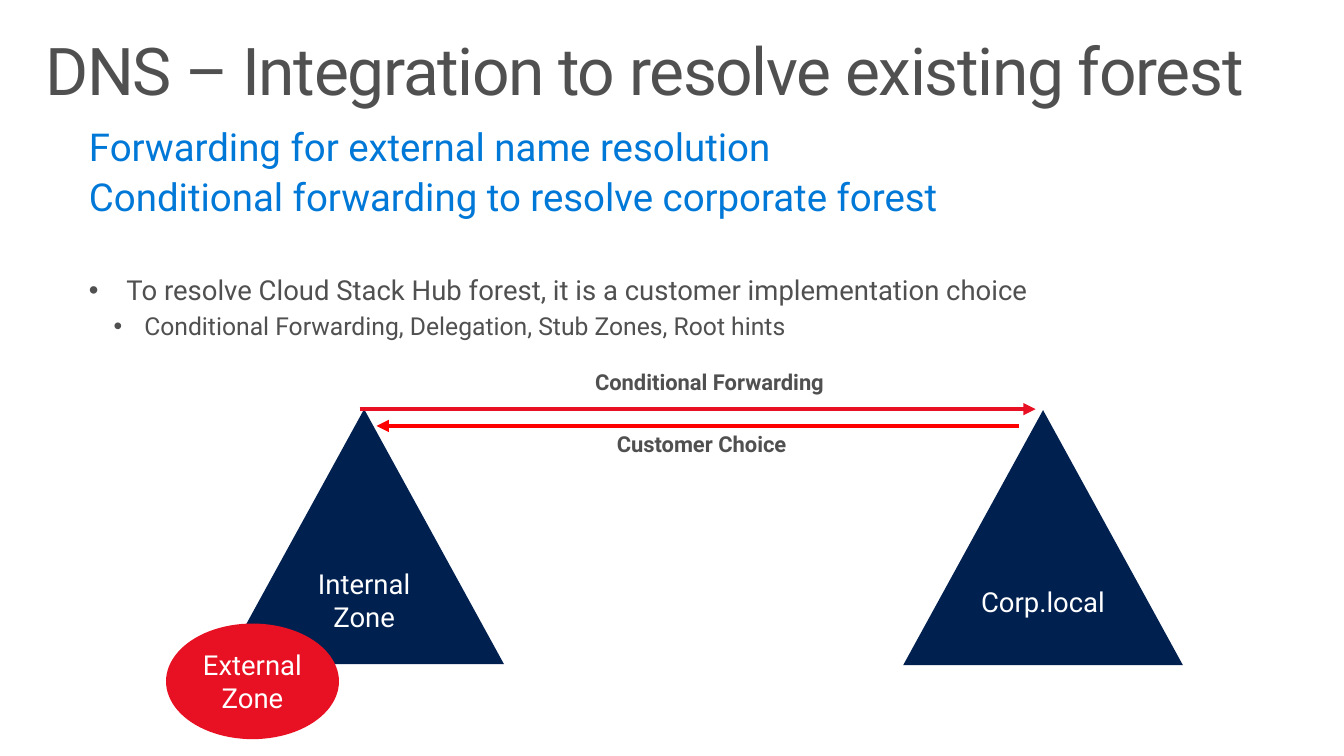
import pptx
import pptx.util
import pptx.dml.color
import pptx.enum.shapes
import pptx.enum.text
import pptx.oxml.ns
import lxml.etree

Inches = pptx.util.Inches
Pt = pptx.util.Pt
RGBColor = pptx.dml.color.RGBColor
SHAPES = pptx.enum.shapes.MSO_SHAPE
ALIGN = pptx.enum.text.PP_ALIGN
ANCHOR = pptx.enum.text.MSO_ANCHOR
AUTO_SIZE = pptx.enum.text.MSO_AUTO_SIZE

GREY = RGBColor(0x50, 0x50, 0x50)
BLUE = RGBColor(0x00, 0x78, 0xD7)
NAVY = RGBColor(0x00, 0x20, 0x50)
CRIMSON = RGBColor(0xE8, 0x11, 0x23)
RED = RGBColor(0xFF, 0x00, 0x00)
WHITE = RGBColor(0xFF, 0xFF, 0xFF)

TITLE = "DNS – Integration to resolve existing forest"
HEADING = {"size": 28, "color": BLUE}
BODY = [
    ("Forwarding for external name resolution", HEADING),
    ("Conditional forwarding to resolve corporate forest", HEADING),
    ("To resolve Cloud Stack Hub forest, it is a customer implementation choice",
     {"size": 20, "level": 1, "indent": (0.38, -0.38), "space_before": Pt(35.5)}),
    ("Conditional Forwarding, Delegation, Stub Zones, Root hints",
     {"size": 18, "level": 2, "indent": (0.56, -0.31)}),
]
LABEL = {"size": 16, "bold": True, "alignment": ALIGN.CENTER}
ZONES = [
    ("Internal Zone", SHAPES.ISOSCELES_TRIANGLE, (2.27, 4.14, 2.83, 2.58), NAVY),
    ("Corp.local", SHAPES.ISOSCELES_TRIANGLE, (9.14, 4.15, 2.83, 2.58), NAVY),
    ("External Zone", SHAPES.OVAL, (1.68, 6.31, 1.75, 1.17), CRIMSON),
]
FLOWS = [
    ("Conditional Forwarding", (5.7, 3.64, 2.96, 0.57), (3.64, 10.48, 4.14), CRIMSON),
    ("Customer Choice", (5.8, 4.27, 2.6, 0.57), (10.31, 3.81, 4.31), RED),
]


def add_xml(parent, tag, **attributes):
    element = lxml.etree.SubElement(parent, pptx.oxml.ns.qn(tag))
    for name, value in attributes.items():
        element.set(name, value)
    return element


def write_text(box, lines, insets, **frame_format):
    frame = box.text_frame
    side, top = (Inches(inset) for inset in insets)
    frame_format = {"word_wrap": True, "margin_left": side, "margin_right": side,
                    "margin_top": top, "margin_bottom": top, **frame_format}
    for name, value in frame_format.items():
        setattr(frame, name, value)
    for number, (text, style) in enumerate(lines):
        para = frame.add_paragraph() if number else frame.paragraphs[0]
        for name in ("alignment", "level", "line_spacing", "space_before", "space_after"):
            if name in style:
                setattr(para, name, style[name])
        if "indent" in style:
            margin, hanging = style["indent"]
            properties = para._p.get_or_add_pPr()
            properties.set("marL", str(Inches(margin)))
            properties.set("indent", str(Inches(hanging)))
            add_xml(properties, "a:buFont", typeface="Arial")
            add_xml(properties, "a:buChar", char="•")
        span = para.add_run()
        span.text = text
        font_format = {"name": "Roboto", "size": Pt(style["size"]), "bold": style.get("bold", False)}
        for name, value in font_format.items():
            setattr(span.font, name, value)
        span.font.color.rgb = style.get("color", GREY)
        if "spacing" in style:
            span.font._element.set("spc", str(style["spacing"]))


def add_text(place, lines, insets=(0.2, 0.16), **frame_format):
    box = page.shapes.add_textbox(*map(Inches, place))
    spaced = [(text, {"line_spacing": 0.9, "space_after": Pt(6), **style})
              for text, style in lines]
    write_text(box, spaced, insets, **frame_format)


def add_zone(name, outline, place, color):
    zone = page.shapes.add_shape(outline, *map(Inches, place))
    zone.shadow.inherit = False
    zone.fill.solid()
    zone.fill.fore_color.rgb = color
    zone.line.fill.background()
    style = {"size": 20, "color": WHITE, "alignment": ALIGN.CENTER}
    write_text(zone, [(name, style)], (0, 0.05), vertical_anchor=ANCHOR.MIDDLE)


def add_arrow(start, end, height, color):
    arrow = page.shapes.add_connector(
        pptx.enum.shapes.MSO_CONNECTOR.STRAIGHT,
        Inches(start), Inches(height), Inches(end), Inches(height))
    arrow.line.color.rgb = color
    arrow.line.width = Pt(3)
    add_xml(arrow.line._get_or_add_ln(), "a:tailEnd", type="triangle")
    add_xml(arrow._element.spPr, "a:effectLst")


deck = pptx.Presentation()
deck.slide_width, deck.slide_height = Inches(13.6), Inches(7.65)
page = deck.slides.add_slide(deck.slide_layouts[6])

add_text((0.3, 0.29, 13, 1), [(TITLE, {"size": 48, "spacing": -100})], (0.16, 0.1))
for zone in ZONES[:2]:
    add_zone(*zone)
add_text((0.7, 1.14, 12.08, 3.4), BODY)
for label, place, course, color in FLOWS:
    add_arrow(*course, color)
    add_text(place, [(label, LABEL)], auto_size=AUTO_SIZE.SHAPE_TO_FIT_TEXT)
add_zone(*ZONES[2])

deck.save("out.pptx")
